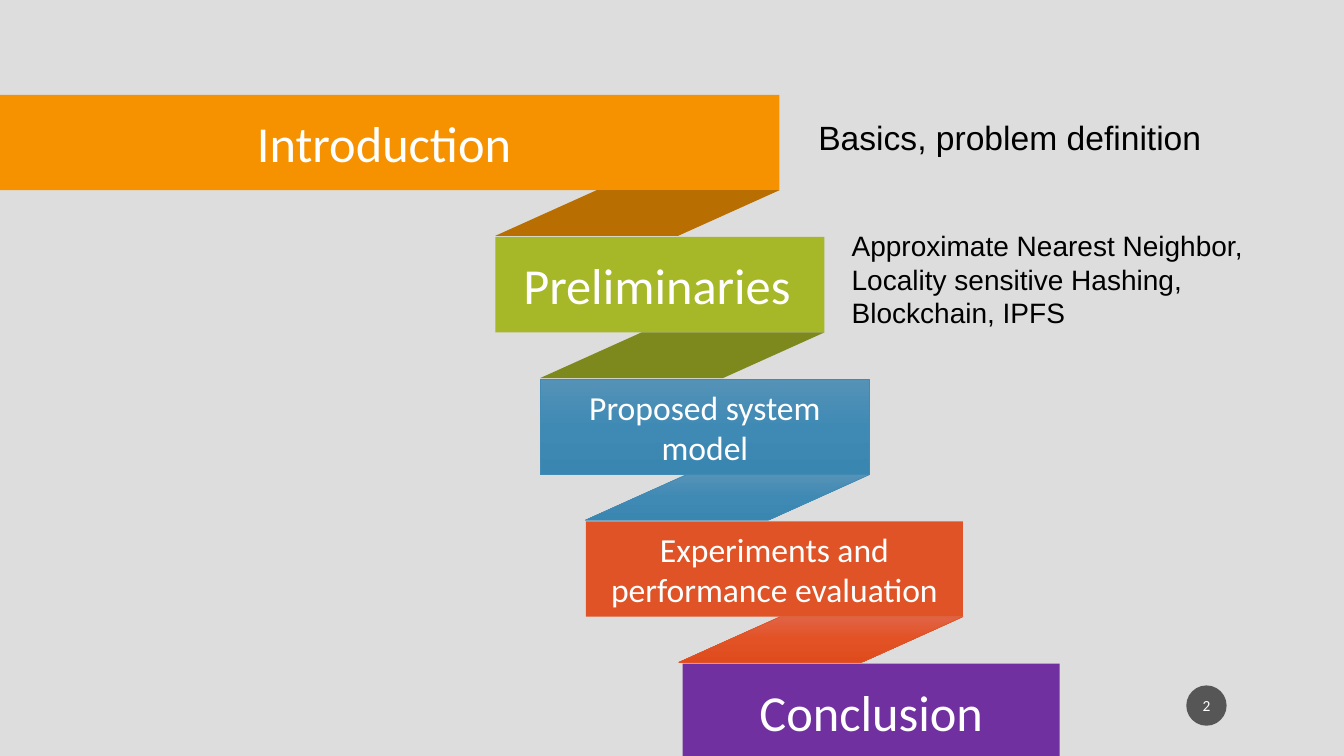
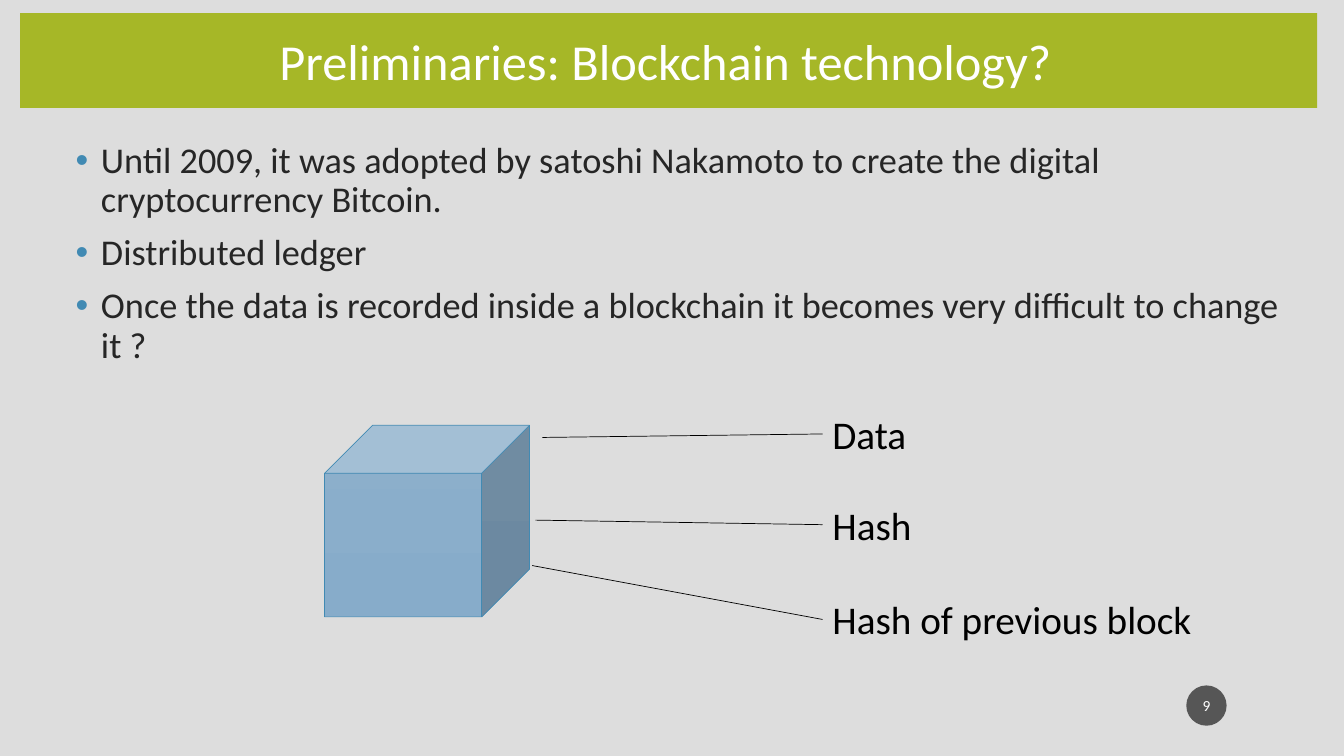
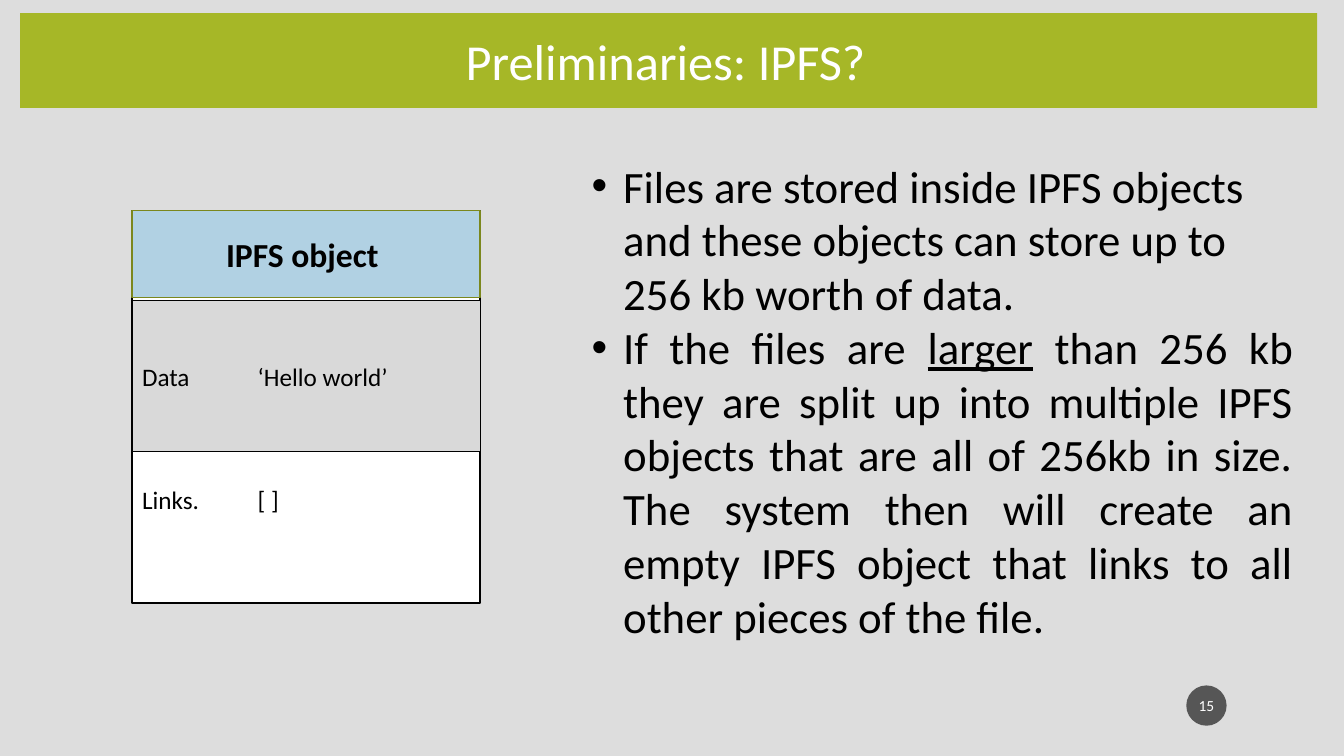
import dataclasses

import lxml.etree
import pptx
import pptx.dml.color
import pptx.enum.shapes
import pptx.enum.text
import pptx.oxml.ns
import pptx.util

SHAPES = pptx.enum.shapes.MSO_SHAPE
ALIGN = pptx.enum.text.PP_ALIGN
ANCHOR = pptx.enum.text.MSO_ANCHOR


@dataclasses.dataclass(frozen=True)
class Theme:
    cell: int = 121920
    columns: float = 100
    rows: float = 56.25
    font: str = "Calibri"
    note_font: str = "Arial"
    background: str = "DDDDDD"
    white: str = "FFFFFF"
    black: str = "000000"
    body: str = "262626"
    badge: str = "1D1D1D"
    orange: str = "F69200"
    dark_orange: str = "B86E00"
    green: str = "A6B727"
    dark_green: str = "7D891D"
    blue: str = "418AB3"
    blue_blend: tuple = ("5592B7", "3F8AB5", "3986B1")
    red: str = "DF5327"
    red_blend: tuple = ("E16346", "E25224", "DF4B1D")
    purple: str = "7030A0"
    cube_blend: tuple = ("8CAFCB", "87ACCA")
    header: str = "B1D1E3"
    header_edge: str = "7B871D"
    gray: str = "D9D9D9"
    title_size: float = 36
    large_size: float = 32
    label_size: float = 28
    body_size: float = 25.9
    medium_size: float = 24
    note_size: float = 20
    small_size: float = 18
    badge_size: float = 11
    thin: float = 0.5
    thick: float = 1


THEME = Theme()


def cells(count):
    return pptx.util.Emu(round(count * THEME.cell))


def area(left, top, width, height):
    return [cells(length) for length in (left, top, width, height)]


def rgb(color):
    return pptx.dml.color.RGBColor.from_string(color)


def child(parent, tag, **attributes):
    return lxml.etree.SubElement(parent, pptx.oxml.ns.qn(tag), **attributes)


def blend(fill, shape, colors):
    fill.gradient()
    fill.gradient_angle = 270
    stops = shape.element.spPr.find(".//" + pptx.oxml.ns.qn("a:gsLst"))
    for stop in list(stops):
        stops.remove(stop)
    for index, color in enumerate(colors):
        position = index * 100000 // (len(colors) - 1)
        child(child(stops, "a:gs", pos=str(position)), "a:srgbClr", val=color)


def paint(shape, color, edge=None, weight=THEME.thin):
    shape.shadow.inherit = False
    if isinstance(color, tuple):
        blend(shape.fill, shape, color)
    else:
        shape.fill.solid()
        shape.fill.fore_color.rgb = rgb(color)
    if edge:
        shape.line.color.rgb = rgb(edge)
        shape.line.width = pptx.util.Pt(weight)
    else:
        shape.line.fill.background()


def write(paragraph, text, size, color, font=THEME.font, bold=False, underline=False):
    run = paragraph.add_run()
    run.text = text
    run.font.name = font
    run.font.size = pptx.util.Pt(size)
    run.font.color.rgb = rgb(color)
    run.font.bold = bold
    run.font.underline = underline


def panel(slide, kind, place, color, edge=None, weight=THEME.thin):
    shape = slide.shapes.add_shape(kind, *area(*place))
    paint(shape, color, edge, weight)
    frame = shape.text_frame
    frame.word_wrap = True
    frame.vertical_anchor = ANCHOR.MIDDLE
    frame.paragraphs[0].alignment = ALIGN.CENTER
    return shape


def label(slide, place, text, size, font=THEME.font):
    frame = slide.shapes.add_textbox(*area(*place)).text_frame
    frame.word_wrap = True
    write(frame.paragraphs[0], text, size, THEME.black, font)


def pointer(slide, start, end):
    ends = [cells(length) for length in (*start, *end)]
    line = slide.shapes.add_connector(pptx.enum.shapes.MSO_CONNECTOR.STRAIGHT, *ends)
    line.line.color.rgb = rgb(THEME.black)
    line.line.width = pptx.util.Pt(THEME.thin)
    child(line.element.spPr, "a:effectLst")


def badge(slide, number):
    disc = panel(slide, SHAPES.OVAL, (88.27, 51, 3, 3), THEME.badge)
    tint = disc.element.spPr.find(".//" + pptx.oxml.ns.qn("a:srgbClr"))
    child(tint, "a:alpha", val="70000")
    disc.text_frame.margin_left = disc.text_frame.margin_right = cells(0.15)
    write(disc.text_frame.paragraphs[0], str(number), THEME.badge_size, THEME.white)


def move(placeholder, place):
    (placeholder.left, placeholder.top,
     placeholder.width, placeholder.height) = area(*place)


def topic_slide(deck, title, number):
    slide = deck.slides.add_slide(deck.slide_layouts[1])
    band = slide.shapes.title
    move(band, (1.5, 0.98, 96.5, 7.05))
    paint(band, THEME.green)
    band.text_frame.vertical_anchor = ANCHOR.MIDDLE
    heading = band.text_frame.paragraphs[0]
    heading.alignment = ALIGN.CENTER
    write(heading, title, THEME.title_size, THEME.white)
    write(heading, " ", THEME.small_size, THEME.white)
    badge(slide, number)
    return slide


def bullets(slide, place, items, size, color, bullet, indent, spacing, gap):
    body = slide.placeholders[1]
    move(body, place)
    frame = body.text_frame
    frame.auto_size = pptx.enum.text.MSO_AUTO_SIZE.NONE
    frame.vertical_anchor = ANCHOR.TOP
    for index, (alignment, runs) in enumerate(items):
        item = frame.add_paragraph() if index else frame.paragraphs[0]
        properties = item._p.get_or_add_pPr()
        properties.set("marL", str(cells(indent)))
        properties.set("indent", str(-cells(indent)))
        child(child(properties, "a:buClr"), "a:srgbClr", val=bullet)
        child(properties, "a:buFont", typeface="Arial")
        child(properties, "a:buChar", char="•")
        item.alignment = alignment
        item.line_spacing = spacing
        item.space_before = pptx.util.Pt(gap if index else 0)
        for text, underline in runs:
            write(item, text, size, color, underline=underline)


def field(box, name, value):
    line = box.text_frame.paragraphs[0]
    line.alignment = ALIGN.LEFT
    stops = child(line._p.get_or_add_pPr(), "a:tabLst")
    child(stops, "a:tab", pos=str(cells(8.6)), algn="l")
    write(line, f"{name}\t{value}", THEME.small_size, THEME.black)


def agenda(deck):
    slide = deck.slides.add_slide(deck.slide_layouts[6])
    badge(slide, 2)
    top, pitch, height = 7.05, 10.58, 7.1
    fold_width, fold_height = 21.15, 3.4
    big, medium = THEME.title_size, THEME.medium_size
    blue = (THEME.blue_blend, THEME.blue)
    sections = [
        (0, 58, [("Introduction ", big)], (THEME.orange,), (THEME.dark_orange,)),
        (36.85, 24.5, [("Preliminaries", big), (" ", THEME.small_size)],
         (THEME.green,), (THEME.dark_green,)),
        (40.2, 24.5, [("Proposed system model", medium)], blue, blue),
        (43.6, 28.05, [("Experiments and performance evaluation", medium)],
         (THEME.red,), (THEME.red_blend, THEME.red)),
        (50.8, 28.05, [("Conclusion", big)], (THEME.purple,), None),
    ]
    for row, (left, width, runs, face, shade) in enumerate(sections):
        bar_top = top + row * pitch
        bar = panel(slide, SHAPES.RECTANGLE, (left, bar_top, width, height), *face)
        for text, size in runs:
            write(bar.text_frame.paragraphs[0], text, size, THEME.white)
        if shade:
            place = (left + width - fold_width, bar_top + height, fold_width, fold_height)
            fold = panel(slide, SHAPES.PARALLELOGRAM, place, *shade)
            fold.adjustments[0] = 2.22
    label(slide, (60.15, 8.33, 34.65, 3.75), "Basics, problem definition",
          THEME.medium_size, THEME.note_font)
    label(slide, (62.63, 16.65, 36.3, 8.33),
          "Approximate Nearest Neighbor, Locality sensitive Hashing, Blockchain, IPFS",
          THEME.note_size, THEME.note_font)


def blockchain(deck):
    slide = topic_slide(deck, "Preliminaries: Blockchain technology?", 9)
    facts = [
        "Until 2009, it was adopted by satoshi Nakamoto to create the digital "
        "cryptocurrency Bitcoin.",
        "Distributed ledger",
        "Once the data is recorded inside a blockchain it becomes very difficult "
        "to change it ?",
    ]
    bullets(slide, (4.88, 10.2, 92.5, 18),
            [(ALIGN.LEFT, [(fact, False)]) for fact in facts],
            THEME.body_size, THEME.body, THEME.blue, indent=1.88, spacing=0.9, gap=10)
    panel(slide, SHAPES.CUBE, (24.15, 31.65, 15.25, 14.25), THEME.cube_blend, THEME.blue)
    left, height = 61.2, 4.28
    parts = [
        ("Data", 30.15, (40.35, 32.55)),
        ("Hash", 36.9, (39.83, 38.7)),
        ("Hash of previous block", 43.95, (39.6, 42.08)),
    ]
    for text, top, start in parts:
        label(slide, (left, top, 30.1, height), text, THEME.label_size)
        pointer(slide, start, (left, top + height / 2))


def ipfs(deck):
    slide = topic_slide(deck, "Preliminaries: IPFS?", 15)
    left, top, width = 9.83, 15.68, 25.9
    links = panel(slide, SHAPES.RECTANGLE, (left, top, width, 29.18),
                  THEME.white, THEME.black, THEME.thick)
    links.text_frame.vertical_anchor = ANCHOR.BOTTOM
    links.text_frame.margin_bottom = cells(6.6)
    field(links, "Links.", "[ ]")
    header = panel(slide, SHAPES.RECTANGLE, (left, top, width, 6.45),
                   THEME.header, THEME.header_edge, THEME.thick)
    write(header.text_frame.paragraphs[0], "IPFS object ", THEME.medium_size,
          THEME.black, bold=True)
    data = panel(slide, SHAPES.RECTANGLE, (left, 22.35, width, 11.25),
                 THEME.gray, THEME.black)
    field(data, "Data", "‘Hello world’")
    storage = [
        (ALIGN.LEFT, [("Files are stored inside IPFS objects and these objects can "
                       "store up to 256 kb worth of data.", False)]),
        (ALIGN.JUSTIFY, [
            ("If the files are ", False),
            ("larger", True),
            (" than 256 kb they are split up into multiple IPFS objects that are all "
             "of 256kb in size. The system then will create an empty IPFS object that "
             "links to all other pieces of the file. ", False),
        ]),
    ]
    bullets(slide, (43.28, 11.4, 53.7, 37.1), storage, THEME.large_size,
            THEME.black, THEME.black, indent=2.34, spacing=1.0, gap=0)


def main():
    deck = pptx.Presentation()
    deck.slide_width = cells(THEME.columns)
    deck.slide_height = cells(THEME.rows)
    backdrop = deck.slide_master.background.fill
    backdrop.solid()
    backdrop.fore_color.rgb = rgb(THEME.background)
    agenda(deck)
    blockchain(deck)
    ipfs(deck)
    deck.save("out.pptx")


if __name__ == "__main__":
    main()
